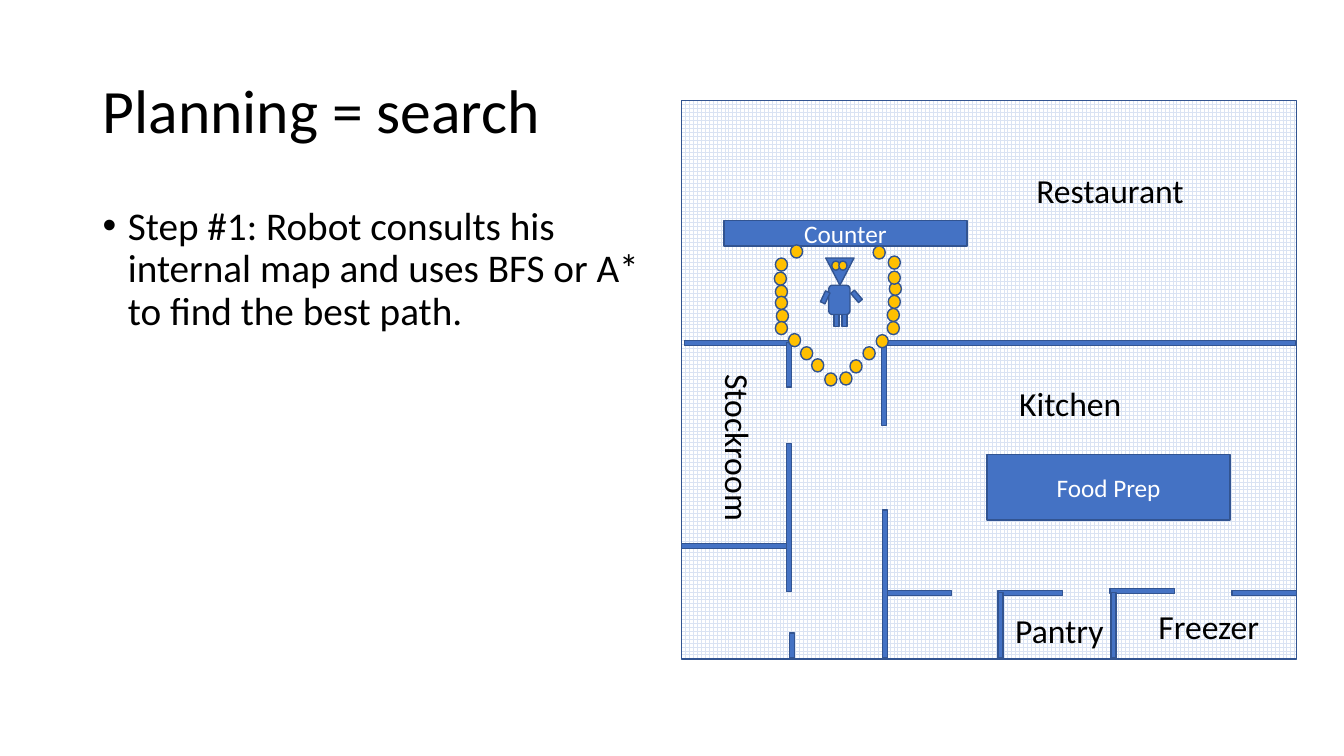
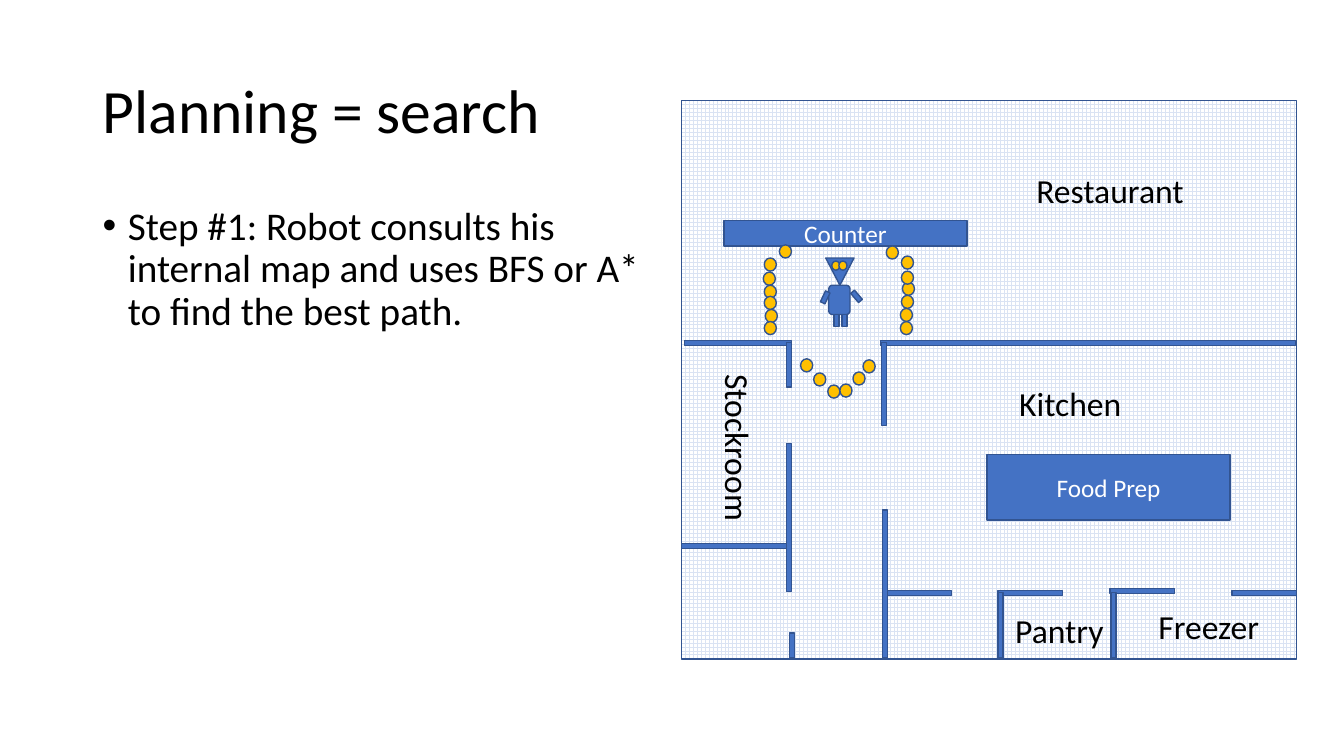
import dataclasses
import pptx
import pptx.dml.color
import pptx.enum.dml
import pptx.enum.shapes
import pptx.enum.text
import pptx.oxml
import pptx.oxml.ns
import pptx.util

KIND = pptx.enum.shapes.MSO_SHAPE
ALIGN = pptx.enum.text.PP_ALIGN
ANCHOR = pptx.enum.text.MSO_ANCHOR
FIT = pptx.enum.text.MSO_AUTO_SIZE
PX = 9144  # 100 px to the inch


@dataclasses.dataclass
class Theme:
    face: str = "Calibri"
    ink: str = "000000"
    paper: str = "FFFFFF"
    blue: str = "4472C4"
    edge: str = "325491"
    gold: str = "FFC000"
    grid: str = "DAE3F3"
    title: int = 44
    body: int = 28
    room: int = 24
    item: int = 18


theme = Theme()
rgb = pptx.dml.color.RGBColor.from_string


def draw(home, kind, box, fill, turn=0):
    shape = home.add_shape(kind, *[n * PX for n in box])
    shape.shadow.inherit = False
    shape.rotation = turn
    shape.fill.solid()
    shape.fill.fore_color.rgb = rgb(fill)
    shape.line.color.rgb = rgb(theme.edge)
    shape.line.width = pptx.util.Pt(1)
    return shape


def write(shape, text, size, color, frame, para):
    para_one = shape.text_frame.paragraphs[0]
    para_one.text = text
    font = para_one.runs[0].font
    font.color.rgb = rgb(color)
    looks = {"name": theme.face, "size": pptx.util.Pt(size)}
    for thing, values in ((shape.text_frame, frame), (para_one, para), (font, looks)):
        for key, value in values.items():
            setattr(thing, key, value)
    return para_one


# Floor plan: level walls are x, y, length; upright walls likewise
WALL = 5
LEVEL = [(679, 338, 106), (873, 338, 412), (880, 586, 64), (990, 586, 64),
         (1101, 584, 64), (1222, 586, 64), (676, 539, 104)]
UPRIGHT = [(874, 340, 82), (875, 506, 147), (990, 588, 65), (1102, 588, 65),
           (780, 440, 147), (780, 340, 44), (783, 628, 25)]
ITEMS = [("Counter", (718, 219, 241, 25)), ("Food Prep", (979, 451, 241, 65))]
ROOMS = [("Kitchen", (1001, 375, 123, 50), 0), ("Restaurant", (1018, 164, 168, 50), 0),
         ("Freezer", (1139, 596, 121, 50), 0), ("Pantry", (997, 600, 109, 50), 0),
         ("Stockroom", (649, 420, 167, 50), 90)]

# Robot parts
ROBOT = [(KIND.ISOSCELES_TRIANGLE, (819, 256, 28, 27), theme.blue, 180),
         (KIND.OVAL, (825, 259, 8, 9), theme.gold, 0),
         (KIND.OVAL, (832, 259, 8, 9), theme.gold, 0),
         (KIND.ROUNDED_RECTANGLE, (822, 283, 21, 29), theme.blue, 0),
         (KIND.RECTANGLE, (827, 312, 5, 12), theme.blue, 0),
         (KIND.RECTANGLE, (835, 312, 5, 12), theme.blue, 0),
         (KIND.RECTANGLE, (847, 288, 5, 12), theme.blue, 319.4),
         (KIND.RECTANGLE, (816, 289, 5, 12), theme.blue, 24.9)]

# Beads of the path: two arms, spread apart by a shift, plus linking beads
LEFT = [(769, 256), (768, 270), (769, 283), (769, 294), (770, 307), (769, 319),
        (805, 356), (818, 370), (784, 243)]
RIGHT = [(843, 357), (833, 369), (880, 319), (880, 306), (881, 293), (882, 280),
         (881, 269), (881, 254), (866, 244)]
STEPS = [(0, 0, [(869, 332), (782, 331), (856, 344), (794, 344)]),
         (-11, 13, [(821, 382), (833, 381)])]

deck = pptx.Presentation()
deck.slide_width, deck.slide_height = 1333 * PX, 750 * PX

for left, right, links in STEPS:
    slide = deck.slides.add_slide(deck.slide_layouts[6])
    shapes = slide.shapes

    # Title and bullet
    title = shapes.add_textbox(*[n * PX for n in (92, 40, 504, 145)])
    write(title, "Planning = search", theme.title, theme.ink,
          {"word_wrap": True, "vertical_anchor": ANCHOR.MIDDLE}, {"line_spacing": 0.9})
    body = shapes.add_textbox(*[n * PX for n in (92, 200, 567, 476)])
    point = write(body, "Step #1: Robot consults his internal map and uses BFS or A* "
                  "to find the best path.", theme.body, theme.ink,
                  {"word_wrap": True}, {"line_spacing": 0.9})
    props = point._p.get_or_add_pPr()
    props.set("marL", str(25 * PX))
    props.set("indent", str(-25 * PX))
    for tag, key, value in (("a:buFont", "typeface", "Arial"), ("a:buChar", "char", "•")):
        mark = pptx.oxml.parse_xml(f"<{tag} {pptx.oxml.ns.nsdecls('a')}/>")
        mark.set(key, value)
        props.append(mark)

    # Gridded floor
    floor = draw(shapes, KIND.RECTANGLE, (676, 100, 610, 554), theme.paper)
    floor.fill.patterned()
    floor.fill.pattern = pptx.enum.dml.MSO_PATTERN.LARGE_GRID
    floor.fill.fore_color.rgb = rgb(theme.grid)
    floor.fill.back_color.rgb = rgb(theme.paper)

    # Robot
    robot = shapes.add_group_shape()
    for part in ROBOT:
        draw(robot.shapes, *part)

    # Walls
    for x, y, size in LEVEL:
        draw(shapes, KIND.RECTANGLE, (x, y, size, WALL), theme.blue)
    for x, y, size in UPRIGHT:
        draw(shapes, KIND.RECTANGLE, (x, y, WALL, size), theme.blue)

    # Counter and table, then room names
    for text, box in ITEMS:
        write(draw(shapes, KIND.RECTANGLE, box, theme.blue), text, theme.item, theme.paper,
              {"vertical_anchor": ANCHOR.MIDDLE}, {"alignment": ALIGN.CENTER})
    for text, box, turn in ROOMS:
        room = shapes.add_textbox(*[n * PX for n in box])
        room.rotation = turn
        write(room, text, theme.room, theme.ink,
              {"word_wrap": False, "auto_size": FIT.SHAPE_TO_FIT_TEXT}, {})

    # Beads
    for shift, beads in ((left, LEFT), (right, RIGHT), (0, links)):
        for x, y in beads:
            draw(shapes, KIND.OVAL, (x + shift, y, 12, 13), theme.gold)

deck.save("out.pptx")
